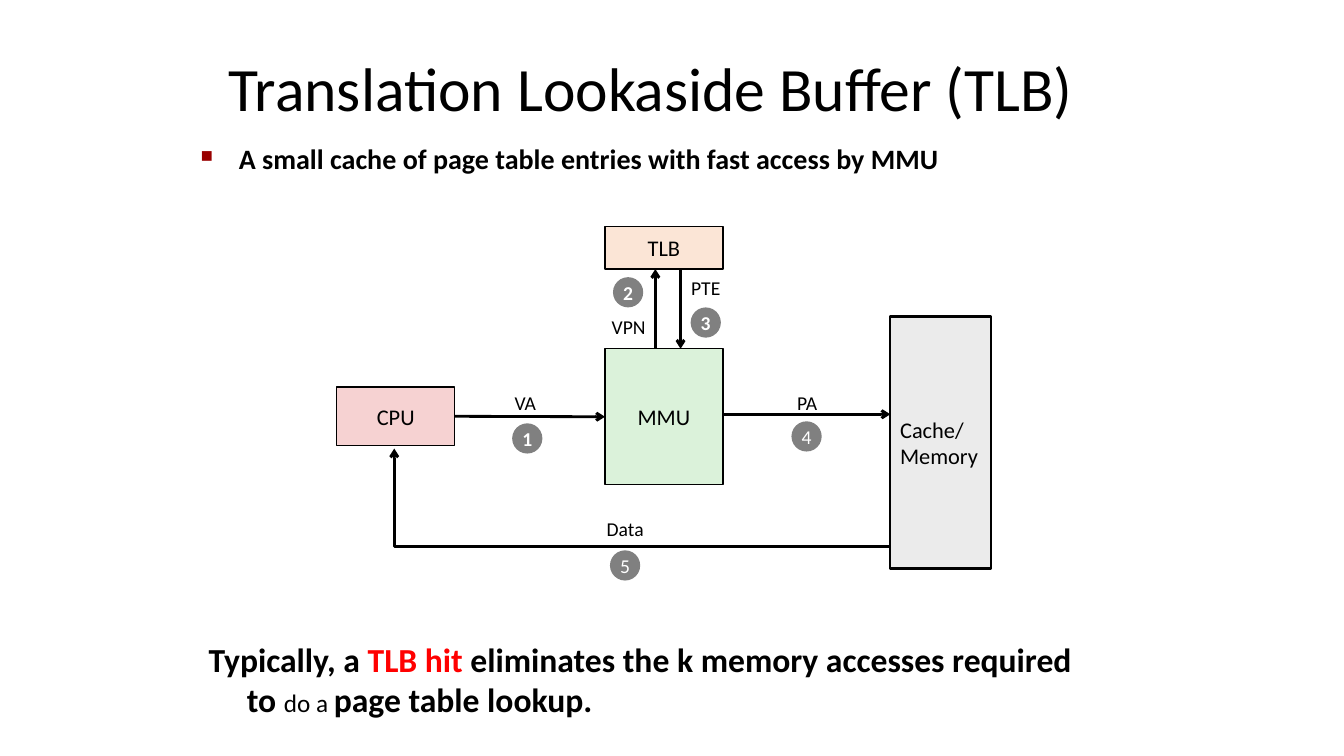
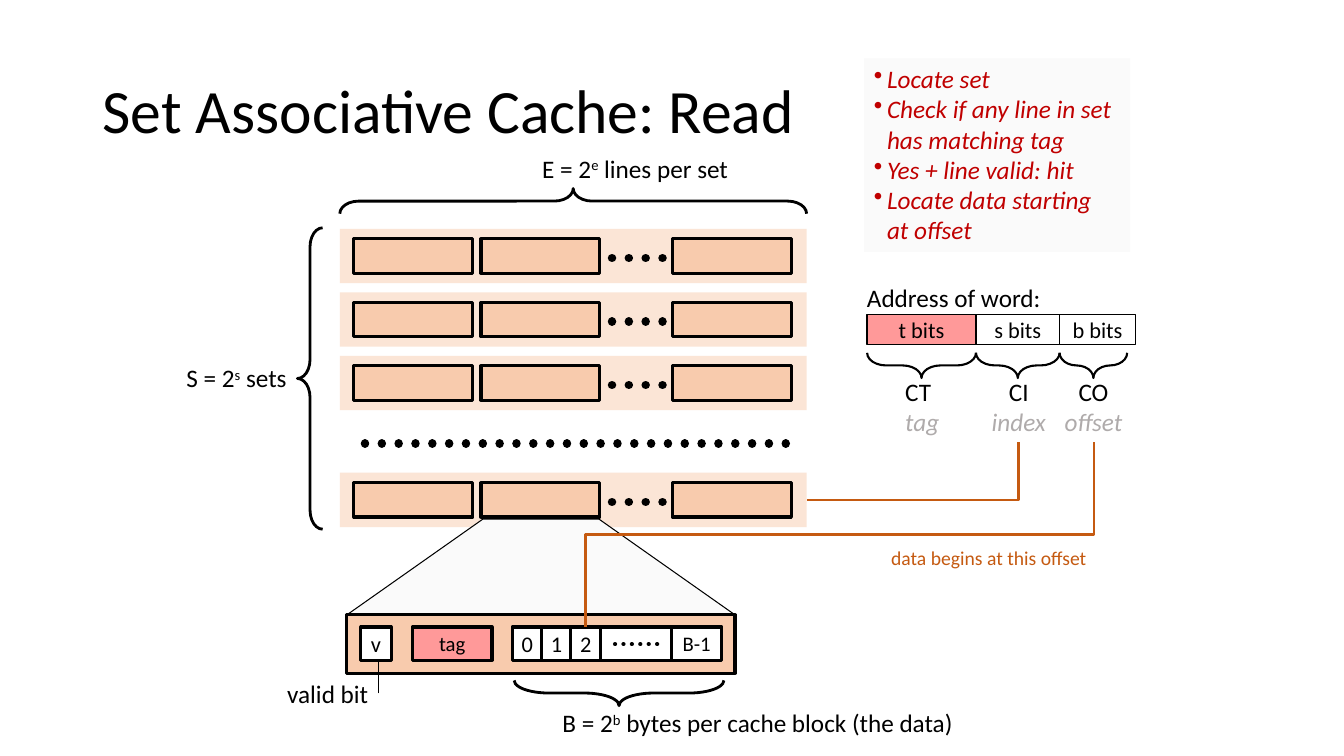
import pptx
import pptx.util
import pptx.dml.color
import pptx.enum.dml
import pptx.enum.shapes
import pptx.enum.text
import pptx.oxml
import pptx.oxml.ns

PX = 9144  # 100 px to the inch
FONT = "Calibri"
BLACK, WHITE, GREY, SILVER = "000000", "FFFFFF", "808080", "AFABAB"
RED, DARK_RED, BULLET_RED, RUST = "FF0000", "C00000", "990000", "C55A11"
PEACH, ORANGE, PINK, PALE = "FBE5D6", "F8CBAD", "FF9999", "FAFAFA"
GREEN, ROSE, LIGHT_GREY = "DBF2DA", "F6D2D2", "EBEBEB"

SHAPE = pptx.enum.shapes.MSO_SHAPE
CONNECTOR = pptx.enum.shapes.MSO_CONNECTOR
ALIGN = {"left": pptx.enum.text.PP_ALIGN.LEFT, "center": pptx.enum.text.PP_ALIGN.CENTER}
ANCHOR = {"top": pptx.enum.text.MSO_ANCHOR.TOP, "middle": pptx.enum.text.MSO_ANCHOR.MIDDLE}


def px(*values):
    return [pptx.util.Emu(round(v * PX)) for v in values]


def rgb(color):
    return pptx.dml.color.RGBColor.from_string(color)


def add_child(parent, tag, **attributes):
    child = pptx.oxml.parse_xml(f"<a:{tag} {pptx.oxml.ns.nsdecls('a')}/>")
    for name, value in attributes.items():
        child.set(name, str(value))
    parent.append(child)
    return child


def add_run(p, text, size, color, bold=False, italic=False, raised=False):
    for i, part in enumerate(text.split("\n")):
        if i:
            p.add_line_break()
        r = p.add_run()
        r.text = part
        r.font.name = FONT
        r.font.size = pptx.util.Pt(size)
        r.font.bold, r.font.italic = bold, italic
        r.font.color.rgb = rgb(color)
        if raised:
            r.font._element.set("baseline", "30000")


def add_bullet(p, char, color=None, percent=None):
    pPr = p._p.get_or_add_pPr()
    if color:
        add_child(add_child(pPr, "buClr"), "srgbClr", val=color)
    if percent:
        add_child(pPr, "buSzPct", val=percent * 1000)
    add_child(pPr, "buChar", char=char)


def set_text(tf, text, align="left", anchor="top", wrap=False, spacing=None,
             indent=0, bullet=None, size=18, color=BLACK, **font):
    """Fill tf; text is a string or a list of paragraphs, each a string or (text, format) runs."""
    tf.word_wrap = wrap
    tf.vertical_anchor = ANCHOR[anchor]
    for i, runs in enumerate([text] if isinstance(text, str) else text):
        p = tf.add_paragraph() if i else tf.paragraphs[0]
        p.alignment = ALIGN[align]
        if spacing:
            p.line_spacing = spacing
        if indent:
            pPr = p._p.get_or_add_pPr()
            pPr.set("marL", str(indent * PX))
            pPr.set("indent", str(-indent * PX))
        if bullet:
            add_bullet(p, **bullet)
        for part, changes in [(runs, {})] if isinstance(runs, str) else runs:
            add_run(p, part, **{"size": size, "color": color, **font, **changes})


def add_text(slide, x, y, w, h, text, **style):
    sp = slide.shapes.add_textbox(*px(x, y, w, h))
    set_text(sp.text_frame, text, **style)
    if not style.get("wrap"):
        sp.text_frame.auto_size = pptx.enum.text.MSO_AUTO_SIZE.SHAPE_TO_FIT_TEXT
    return sp


def add_title(slide, x, y, w, h, text):
    add_text(slide, x, y, w, h, text, size=44, anchor="middle", wrap=True, spacing=0.9)


def add_power(slide, x, y, w, before, exponent, after):
    runs = [(before, {}), (exponent, {"raised": True}), (after, {})]
    add_text(slide, x, y, w, 40, [runs])


def set_line(line, color, width):
    line.color.rgb = rgb(color)
    line.width = pptx.util.Pt(width)


def add_box(slide, x, y, w, h, fill=None, line=0, text=None, kind=SHAPE.RECTANGLE, **style):
    sp = slide.shapes.add_shape(kind, *px(x, y, w, h))
    sp.shadow.inherit = False
    if fill:
        sp.fill.solid()
        sp.fill.fore_color.rgb = rgb(fill)
    else:
        sp.fill.background()
    if line:
        set_line(sp.line, BLACK, line)
    else:
        sp.line.fill.background()
    if text:
        set_text(sp.text_frame, text, **{"align": "center", "anchor": "middle", "size": 16, **style})
    return sp


def add_badge(slide, x, y, number, bold):
    add_box(slide, x, y, 30, 30, GREY, text=number, kind=SHAPE.OVAL,
            size=14, color=WHITE, bold=bold)


def add_brace(slide, x, y, length, rotation=0, width=2, curl=0.75):
    """Brace whose visible corner is at x, y; rotation 0 points left, 90 up, 270 down."""
    depth = 25
    if rotation:
        x, y = x + (length - depth) / 2, y - (length - depth) / 2
    sp = add_box(slide, x, y, depth, length, line=width, kind=SHAPE.LEFT_BRACE)
    sp.adjustments[0] = curl
    sp.rotation = rotation


def finish_connector(c, color, width, arrow=False, dotted=False):
    set_line(c.line, color, width)
    ln = c._element.spPr.get_or_add_ln()
    if dotted:
        c.line.dash_style = pptx.enum.dml.MSO_LINE.ROUND_DOT
        ln.set("cap", "rnd")
    if arrow:
        add_child(ln, "tailEnd", type="arrow")
    add_child(c._element.spPr, "effectLst")


def add_line(slide, x1, y1, x2, y2, width=2, **style):
    c = slide.shapes.add_connector(CONNECTOR.STRAIGHT, *px(x1, y1, x2, y2))
    finish_connector(c, BLACK, width, **style)
    return c


def add_elbow(slide, x1, y1, x2, y2, rotation, bends=1, color=BLACK, arrow=False):
    """Right-angled connector; rotation 90 sets off downwards, 180 to the left."""
    w, h = abs(x2 - x1), abs(y2 - y1)
    if rotation == 90:
        w, h = h, w
    left, top = (x1 + x2 - w) / 2, (y1 + y2 - h) / 2
    c = slide.shapes.add_connector(CONNECTOR.ELBOW, *px(left, top, left + w, top + h))
    spPr = c._element.spPr
    spPr.find(pptx.oxml.ns.qn("a:xfrm")).set("rot", str(rotation * 60000))
    spPr.find(pptx.oxml.ns.qn("a:prstGeom")).set("prst", f"bentConnector{bends + 1}")
    finish_connector(c, color, 2, arrow=arrow)


def build_tlb_slide(slide):
    add_title(slide, 217, 48, 953, 86, "Translation Lookaside Buffer (TLB)")
    add_text(slide, 189, 141, 958, 92,
             "A small cache of page table entries with fast access by MMU",
             size=20, bold=True, wrap=True, spacing=0.83, indent=38,
             bullet={"char": "■", "color": BULLET_RED, "percent": 60})

    mmu = add_box(slide, 600, 346, 117, 135, GREEN, 1, "MMU")
    cpu = add_box(slide, 334, 384, 117, 58, ROSE, 1, "CPU")
    add_box(slide, 600, 225, 117, 42, PEACH, 1, "TLB")
    add_box(slide, 883, 314, 100, 250, LIGHT_GREY, 1.5, ["Cache/", "Memory"], align="left")

    va = add_line(slide, 451, 413, 600, 413, arrow=True)
    va.begin_connect(cpu, 3)
    va.end_connect(mmu, 1)
    for ends in ((717, 411, 883, 411), (650, 346, 650, 267), (675, 267, 675, 346)):
        add_line(slide, *ends, arrow=True)
    add_elbow(slide, 882, 542, 391, 445, 180, arrow=True)

    for x, y, w, label in ((500, 383, 42, "VA"), (596, 308, 55, "VPN"), (675, 269, 50, "PTE"),
                           (780, 383, 41, "PA"), (591, 508, 58, "Data")):
        add_text(slide, x, y, w, 33, label, size=14, align="center", anchor="middle")
    badges = ((508, 420), (608, 275), (685, 305), (785, 418), (605, 546))
    for step, (x, y) in enumerate(badges, 1):
        add_badge(slide, x, y, str(step), bold=step <= 3)

    add_text(slide, 197, 629, 895, 63, [[
        ("Typically, a ", {}),
        ("TLB hit", {"color": RED}),
        (" eliminates the k memory accesses required to ", {}),
        ("do a ", {"size": 18, "bold": False}),
        ("page table lookup.", {}),
    ]], size=24, bold=True, wrap=True, indent=38)


def add_cache_sets(slide):
    for y in (227, 290, 353, 469):
        add_box(slide, 337, y, 463, 54, PEACH)
        for x in (351, 477, 667):
            add_box(slide, x, y + 10, 118, 34, ORANGE, 2.25)
        add_line(slide, 607, y + 29, 668, y + 29, 6, dotted=True)
    add_line(slide, 362, 440, 785, 440, 6, dotted=True)
    add_brace(slide, 337, 187, 463, 90)
    add_brace(slide, 295, 226, 299)
    add_power(slide, 528, 147, 214, "E = 2", "e", " lines per set")
    add_power(slide, 175, 355, 123, "S = 2", "s", " sets")


def add_cache_line(slide):
    zoom = add_box(slide, 344, 515, 385, 95, PALE, 0.75, kind=SHAPE.TRAPEZOID)
    zoom.adjustments[0] = 1.42
    add_box(slide, 344, 610, 385, 58, ORANGE, 2.25)
    for x, w, fill, label, size in ((358, 30, WHITE, "v", 16), (409, 79, PINK, "tag", 14.8),
                                    (508, 30, WHITE, "0", 16), (537, 30, WHITE, "1", 16),
                                    (566, 30, WHITE, "2", 16), (666, 50, WHITE, "B-1", 14.8),
                                    (596, 70, WHITE, None, 16)):
        add_box(slide, x, 622, w, 33, fill, 2.25, label, size=size)
    add_line(slide, 610, 639, 660, 639, 3, dotted=True)
    add_text(slide, 275, 668, 104, 40, "valid bit")
    add_line(slide, 375, 688, 375, 655, 0.75)
    add_brace(slide, 510, 675, 208, 270, curl=1.37)
    add_power(slide, 548, 697, 419, "B = 2", "b", " bytes per cache block (the data)")


def add_address(slide):
    add_text(slide, 850, 275, 198, 40, "Address of word:")
    x = 860
    for w, brace, fill, bits, label_x, label_w, code, role, align in (
            (108, 108, PINK, "t bits", 888, 55, "CT", "tag", "left"),
            (83, 83, WHITE, "s bits", 972, 77, "CI", "index", "center"),
            (75, 67, WHITE, "b bits", 1044, 81, "CO", "offset", "center")):
        add_box(slide, x, 312, w, 30, fill, 1, bits)
        add_brace(slide, x, 350, brace, 270, width=1.5)
        runs = [(code + "\n", {}), (role, {"color": SILVER, "italic": True})]
        add_text(slide, label_x, 368, label_w, 71, [runs], align=align)
        x += w
    add_elbow(slide, 1010, 439, 800, 496, 90, color=RUST)
    add_elbow(slide, 1085, 439, 581, 622, 90, bends=2, color=RUST)
    add_text(slide, 874, 537, 220, 34, "data begins at this offset", size=14, color=RUST)


def build_cache_slide(slide):
    add_title(slide, 92, 40, 1150, 145, "Set Associative Cache: Read")
    add_cache_sets(slide)
    add_cache_line(slide)
    add_address(slide)
    add_box(slide, 857, 58, 264, 192, PALE, text=[
        "Locate set",
        "Check if any line in set\nhas matching tag",
        "Yes + line valid: hit",
        "Locate data starting\nat offset",
    ], align="left", anchor="top", size=18, color=DARK_RED, italic=True,
        indent=13, bullet={"char": "•"})


def main():
    prs = pptx.Presentation()
    prs.slide_width, prs.slide_height = px(1333, 750)
    for build in (build_tlb_slide, build_cache_slide):
        build(prs.slides.add_slide(prs.slide_layouts[6]))
    prs.save("out.pptx")


if __name__ == "__main__":
    main()
